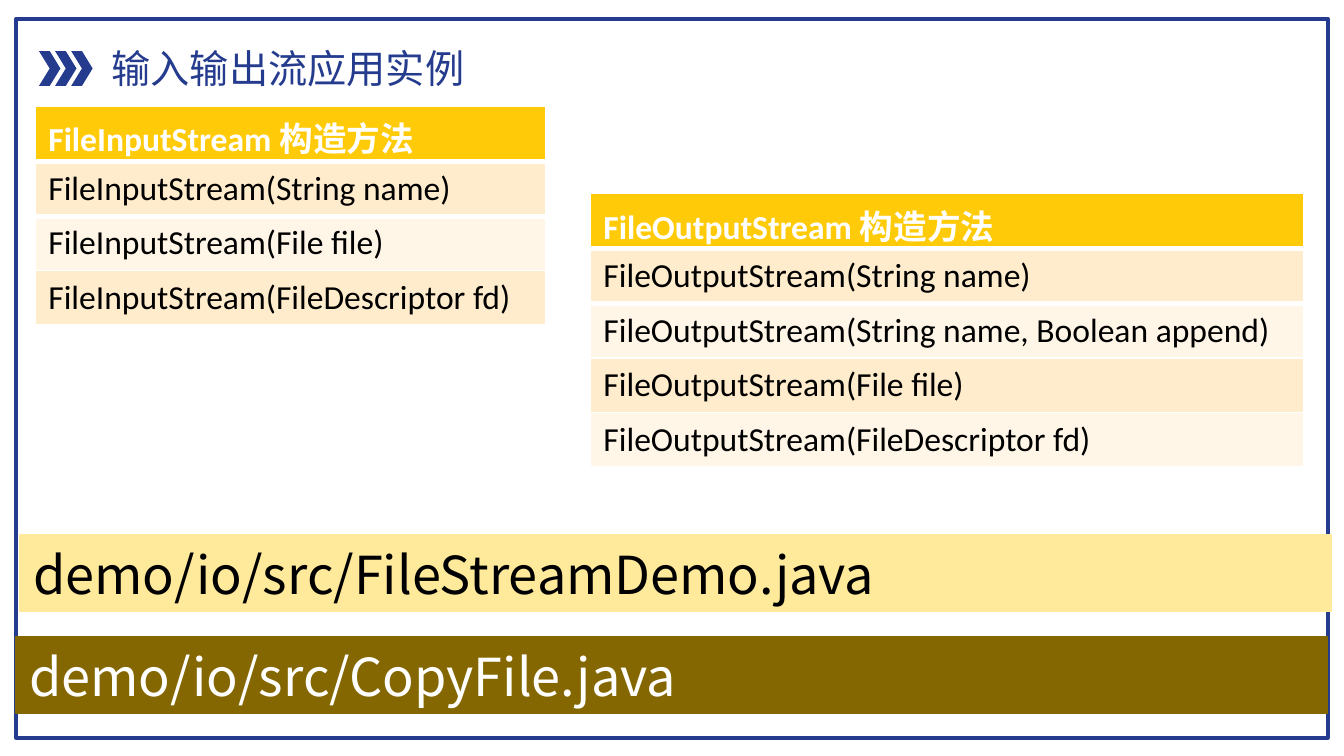
"""Build the slide on file stream constructors and their demo programs."""
from dataclasses import dataclass

from lxml.etree import Element, SubElement
from pptx import Presentation
from pptx.dml.color import RGBColor
from pptx.enum.shapes import MSO_SHAPE
from pptx.enum.text import MSO_ANCHOR, MSO_AUTO_SIZE, PP_ALIGN
from pptx.oxml.ns import qn
from pptx.util import Inches, Pt


@dataclass(frozen=True)
class Theme:
    """Colours, fonts and type sizes of the slide."""

    navy: str = "253C8E"
    gold: str = "FFCA08"
    bands: tuple = ("FFECCC", "FFF6E7")
    pale: str = "FFEA9C"
    olive: str = "846700"
    black: str = "000000"
    white: str = "FFFFFF"
    sans: str = "Noto Sans CJK SC"
    body: str = "Calibri"
    title_size: int = 21
    table_size: int = 18
    demo_size: int = 28


THEME = Theme()


def style_text(frame, text, size, color, face, bold=False):
    """Write one left-aligned paragraph in a text frame and set its font."""
    frame.text = text
    para = frame.paragraphs[0]
    para.alignment = PP_ALIGN.LEFT
    font = para.font
    font.name, font.size, font.bold = face, Pt(size), bold
    font.color.rgb = RGBColor.from_string(color)
    defaults = para._p.pPr.find(qn("a:defRPr"))
    SubElement(defaults, qn("a:ea")).set("typeface", THEME.sans)


def add_box(page, kind, place, fill=None, line=None, weight=0.75):
    """Add a preset shape with an optional fill and outline."""
    box = page.shapes.add_shape(kind, *map(Inches, place))
    box.shadow.inherit = False
    if fill:
        box.fill.solid()
        box.fill.fore_color.rgb = RGBColor.from_string(fill)
    else:
        box.fill.background()
    if line:
        box.line.color.rgb = RGBColor.from_string(line)
        box.line.width = Pt(weight)
    else:
        box.line.fill.background()
    return box


def add_heading(page, text):
    """Place the title after a row of three chevrons."""
    for index in range(3):
        place = (0.29 + 0.12 * index, 0.38, 0.16, 0.26)
        add_box(page, MSO_SHAPE.CHEVRON, place, THEME.navy)
    title = page.shapes.title
    title.left, title.top = Inches(0.73), Inches(0.28)
    title.width, title.height = Inches(2.85), Inches(0.45)
    frame = title.text_frame
    frame.word_wrap = False
    frame.auto_size = MSO_AUTO_SIZE.NONE
    frame.vertical_anchor = MSO_ANCHOR.MIDDLE
    style_text(frame, text, THEME.title_size, THEME.navy, THEME.sans)


def add_demo_bar(page, left, top, text, fill, color):
    """Add a full-width bar that names a demo source file."""
    bar = add_box(page, MSO_SHAPE.RECTANGLE, (left, top, 9.76, 0.57), fill, fill)
    bar.text_frame.word_wrap = True
    bar.text_frame.vertical_anchor = MSO_ANCHOR.MIDDLE
    style_text(bar.text_frame, text, THEME.demo_size, color, THEME.sans)


def set_border(cell, side, weight):
    """Draw one white border of a table cell."""
    line = Element(qn(f"a:{side}"), w=str(Pt(weight)))
    fill = SubElement(line, qn("a:solidFill"))
    SubElement(fill, qn("a:srgbClr")).set("val", THEME.white)
    cell._tc.get_or_add_tcPr().insert(0, line)


def add_constructor_table(page, place, class_name, arguments):
    """Add a one-column table listing the constructors of a class."""
    rows = [f"{class_name} 构造方法"]
    rows += [f"{class_name}({argument})" for argument in arguments]
    table = page.shapes.add_table(len(rows), 1, *map(Inches, place)).table
    for index, text in enumerate(rows):
        header = index == 0
        cell = table.cell(index, 0)
        fill = THEME.gold if header else THEME.bands[(index - 1) % 2]
        color = THEME.white if header else THEME.black
        cell.fill.solid()
        cell.fill.fore_color.rgb = RGBColor.from_string(fill)
        style_text(cell.text_frame, text, THEME.table_size, color, THEME.body, header)
    heading = table.cell(0, 0)
    heading.margin_bottom = 0
    set_border(heading, "lnB", 3)
    set_border(table.cell(1, 0), "lnT", 3)


def main():
    """Build the deck and save it."""
    deck = Presentation()
    deck.slide_width = Inches(10)
    deck.slide_height = Inches(10) * 9 // 16
    page = deck.slides.add_slide(deck.slide_layouts[5])
    add_box(page, MSO_SHAPE.RECTANGLE, (0.12, 0.14, 9.76, 5.35), line=THEME.navy, weight=2)
    add_heading(page, "输入输出流应用实例")
    add_demo_bar(page, 0.15, 3.98, "demo/io/src/FileStreamDemo.java", THEME.pale, THEME.black)
    add_demo_bar(page, 0.12, 4.74, "demo/io/src/CopyFile.java", THEME.olive, THEME.white)
    add_constructor_table(
        page, (0.26, 0.79, 3.8, 1.62), "FileInputStream",
        ["String name", "File file", "FileDescriptor fd"],
    )
    add_constructor_table(
        page, (4.39, 1.44, 5.31, 2.03), "FileOutputStream",
        ["String name", "String name, Boolean append", "File file", "FileDescriptor fd"],
    )
    deck.save("out.pptx")


if __name__ == "__main__":
    main()
